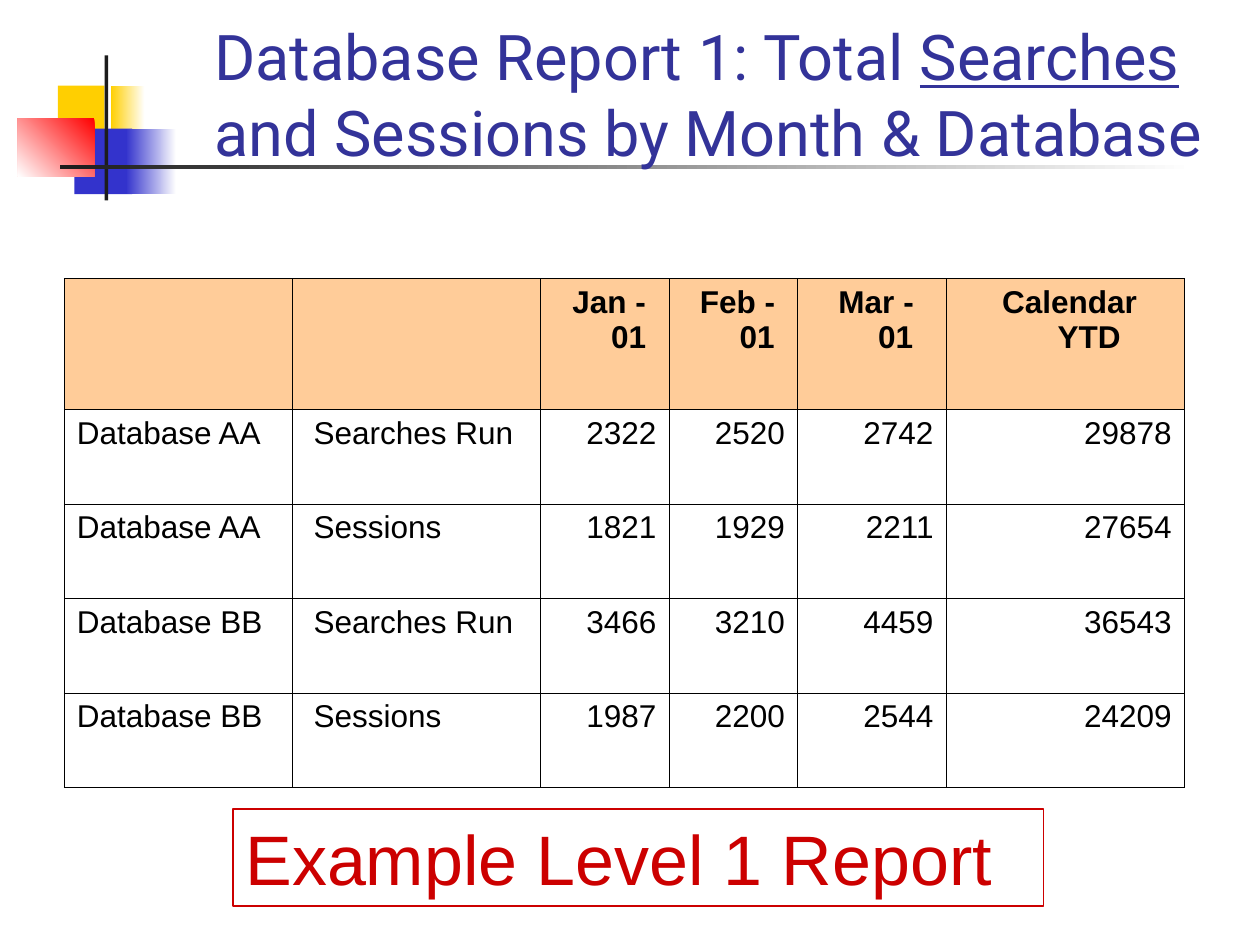
import pptx
import pptx.dml.color
import pptx.enum.dml
import pptx.enum.shapes
import pptx.enum.text
import pptx.oxml.ns
import pptx.util
import lxml.etree

RGBColor = pptx.dml.color.RGBColor
Align = pptx.enum.text.PP_ALIGN

WHITE = RGBColor(0xFF, 0xFF, 0xFF)
BLACK = RGBColor(0x00, 0x00, 0x00)
YELLOW = RGBColor(0xFF, 0xCF, 0x01)
BLUE = RGBColor(0x33, 0x33, 0xCC)
RED = RGBColor(0xFF, 0x00, 0x00)
CHARCOAL = RGBColor(0x1C, 0x1C, 0x1C)
NAVY = RGBColor(0x33, 0x33, 0x99)
PEACH = RGBColor(0xFF, 0xCC, 0x99)
CRIMSON = RGBColor(0xCC, 0x00, 0x00)

EMU_PER_PX = 9144  # 100 px to the inch
HANGING_INDENT = 38
GAP = " "  # no-break space before each entry


def px(length):
    return pptx.util.Emu(length * EMU_PER_PX)


class ReportSlide:
    """Holds the text style and the current slide."""

    title_font = "Roboto"
    body_font = "Arial"

    def __init__(self, deck):
        self.slide = deck.slides.add_slide(deck.slide_layouts[5])
        self.shapes = self.slide.shapes

    def place(self, shape, left, top, width, height):
        shape.left, shape.top = px(left), px(top)
        shape.width, shape.height = px(width), px(height)

    def style(self, span, font, size, color, bold=False):
        span.font.name = font
        span.font.size = pptx.util.Pt(size)
        span.font.color.rgb = color
        span.font.bold = bold

    def block(self, left, top, width, height, colors, angle=180):
        """A rectangle with one plain colour or a two-colour gradient."""
        shape = self.shapes.add_shape(
            pptx.enum.shapes.MSO_SHAPE.RECTANGLE,
            px(left), px(top), px(width), px(height))
        shape.shadow.inherit = False
        shape.line.fill.background()
        if len(colors) == 1:
            shape.fill.solid()
            shape.fill.fore_color.rgb = colors[0]
            return
        shape.fill.gradient()
        shape.fill.gradient_angle = angle
        for stop, color in zip(shape.fill.gradient_stops, colors):
            stop.color.rgb = color

    def title(self, parts, left, top, width, height):
        """Parts are pairs of wording and underline."""
        title = self.shapes.title
        self.place(title, left, top, width, height)
        title.element.getparent().append(title.element)  # in front of the blocks
        frame = title.text_frame
        frame.word_wrap = True
        frame.auto_size = pptx.enum.text.MSO_AUTO_SIZE.NONE
        frame.vertical_anchor = pptx.enum.text.MSO_ANCHOR.BOTTOM
        para = frame.paragraphs[0]
        para.alignment = Align.LEFT
        for wording, underlined in parts:
            span = para.add_run()
            span.text = wording
            self.style(span, self.title_font, 36, NAVY)
            span.font.underline = underlined

    def cell_border(self, cell, color, width):
        properties = cell._tc.get_or_add_tcPr()
        for position, side in enumerate(("lnL", "lnR", "lnT", "lnB")):
            line = lxml.etree.Element(pptx.oxml.ns.qn("a:" + side),
                                      w=str(pptx.util.Pt(width)))
            fill = lxml.etree.SubElement(line, pptx.oxml.ns.qn("a:solidFill"))
            lxml.etree.SubElement(fill, pptx.oxml.ns.qn("a:srgbClr"), val=str(color))
            properties.insert(position, line)

    def cell_text(self, cell, wording, alignment, bold):
        para = cell.text_frame.paragraphs[0]
        para.text = wording
        para.alignment = alignment
        properties = para._p.get_or_add_pPr()
        properties.set("marL", str(px(HANGING_INDENT)))
        properties.set("indent", str(px(-HANGING_INDENT)))
        for span in para.runs:
            self.style(span, self.body_font, 18, BLACK, bold)

    def table(self, rows, left, top, widths, heights):
        table = self.shapes.add_table(
            len(rows), len(widths), px(left), px(top),
            px(sum(widths)), px(sum(heights))).table
        table.first_row = False
        table.horz_banding = False
        for column, width in zip(table.columns, widths):
            column.width = px(width)
        for row, height in zip(table.rows, heights):
            row.height = px(height)
        for r, values in enumerate(rows):
            for c, value in enumerate(values):
                cell = table.cell(r, c)
                if r == 0:
                    cell.fill.solid()
                    cell.fill.fore_color.rgb = PEACH
                    alignment = Align.CENTER
                else:
                    cell.fill.background()
                    alignment = Align.LEFT if c < 2 else Align.RIGHT
                self.cell_border(cell, BLACK, 0.34)
                if value:
                    wording = value if c == 0 else GAP + value
                    self.cell_text(cell, wording, alignment, r == 0)

    def label(self, wording, left, top, width, height):
        box = self.shapes.add_textbox(px(left), px(top), px(width), px(height))
        box.line.color.rgb = CRIMSON
        box.line.width = pptx.util.Pt(0.75)
        box.text_frame.word_wrap = True
        box.text_frame.text = wording
        self.style(box.text_frame.paragraphs[0].runs[0], self.body_font, 40, CRIMSON)


def main():
    deck = pptx.Presentation()
    deck.slide_width, deck.slide_height = px(1000), px(750)
    page = ReportSlide(deck)

    # Corner ornament and rule under the title
    page.block(46, 68, 37, 40, [YELLOW])
    page.block(88, 68, 27, 40, [WHITE, YELLOW])
    page.block(59, 102, 46, 52, [BLUE])
    page.block(100, 102, 40, 52, [WHITE, BLUE])
    page.block(14, 94, 61, 46, [RED, WHITE], angle=225)
    page.block(83, 44, 3, 115, [CHARCOAL])
    page.block(48, 131, 900, 3, [WHITE, CHARCOAL])

    # Title
    page.title([("Database Report 1: Total ", False),
                ("Searches", True),
                (" and Sessions by Month & Database", False)],
               160, 55, 852, 84)

    # Usage table
    page.table([
        ("", "", "Jan - 01", "Feb - 01", "Mar - 01", "Calendar YTD"),
        ("Database AA", "Searches Run", "2322", "2520", "2742", "29878"),
        ("Database AA", "Sessions", "1821", "1929", "2211", "27654"),
        ("Database BB", "Searches Run", "3466", "3210", "4459", "36543"),
        ("Database BB", "Sessions", "1987", "2200", "2544", "24209"),
    ], 51, 221, [181, 197, 102, 102, 118, 189], [104] + [75] * 4)

    # Caption
    page.label("Example Level 1 Report", 185, 642, 643, 77)

    deck.save("out.pptx")


if __name__ == "__main__":
    main()
